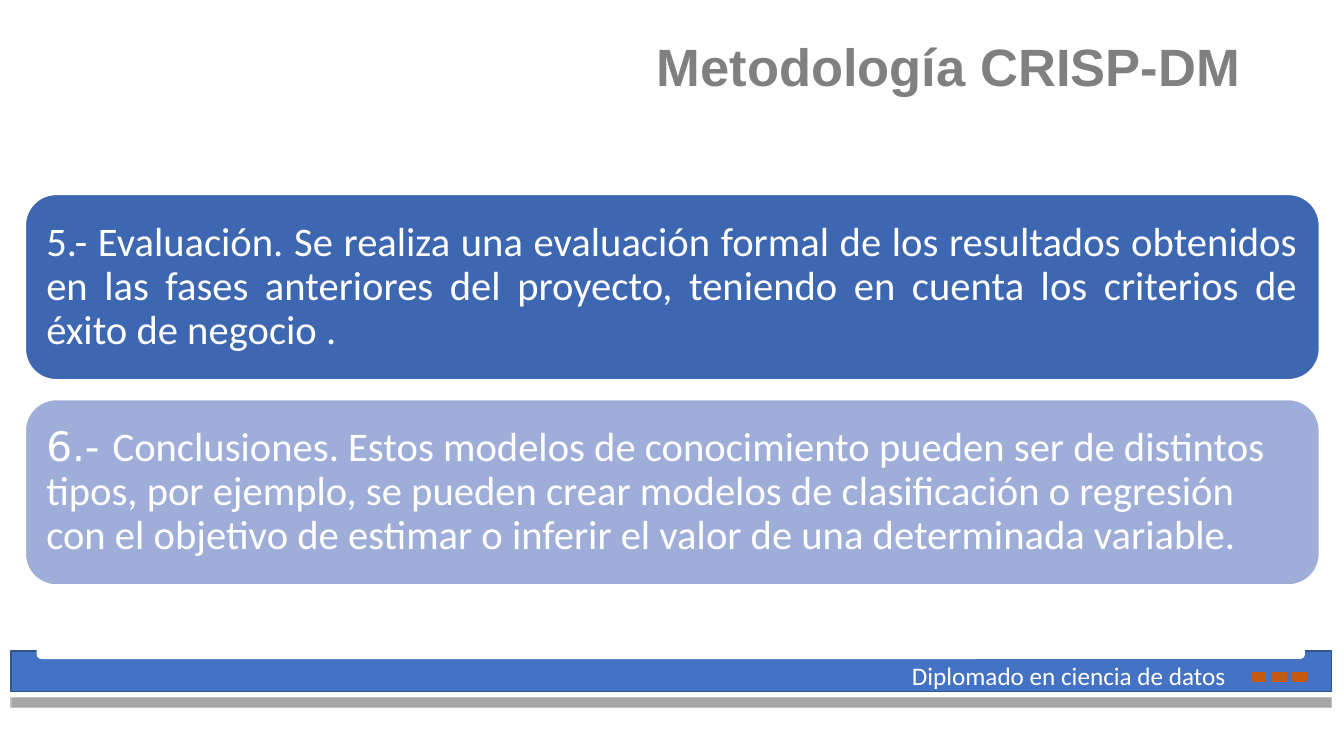
from pptx import Presentation
from pptx.dml.color import RGBColor
from pptx.enum.shapes import MSO_SHAPE
from pptx.enum.text import MSO_ANCHOR, PP_ALIGN
from pptx.util import Cm, Pt

RECT, ROUND = MSO_SHAPE.RECTANGLE, MSO_SHAPE.ROUNDED_RECTANGLE
LEFT, RIGHT, JUSTIFY = PP_ALIGN.LEFT, PP_ALIGN.RIGHT, PP_ALIGN.JUSTIFY
TOP, MIDDLE, BOTTOM = MSO_ANCHOR.TOP, MSO_ANCHOR.MIDDLE, MSO_ANCHOR.BOTTOM

WHITE = RGBColor(0xFF, 0xFF, 0xFF)
TITLE_GRAY = RGBColor(0x80, 0x80, 0x80)
BLUE = RGBColor(0x44, 0x72, 0xC4)
BLUE_EDGE = RGBColor(0x32, 0x54, 0x91)
GRAY = RGBColor(0xA6, 0xA6, 0xA6)
GRAY_EDGE = RGBColor(0xBF, 0xBF, 0xBF)
ORANGE = RGBColor(0xC5, 0x5A, 0x11)
DARK_PHASE = RGBColor(0x3E, 0x67, 0xB2)
LIGHT_PHASE = RGBColor(0x9F, 0xAE, 0xD8)

prs = Presentation()
prs.slide_width, prs.slide_height = Cm(33.87), Cm(19.05)
s = prs.slides.add_slide(prs.slide_layouts[6])


def add_box(kind, left, top, width, height, fill, line):
    sp = s.shapes.add_shape(kind, Cm(left), Cm(top), Cm(width), Cm(height))
    sp.shadow.inherit = False
    sp.fill.solid()
    sp.fill.fore_color.rgb = fill
    sp.line.color.rgb = line
    sp.line.width = Pt(1)
    return sp


def write(sp, runs, size, color, align, anchor, spacing=1.0, bold=False):
    tf = sp.text_frame
    tf.word_wrap = True
    tf.vertical_anchor = anchor
    p = tf.paragraphs[0]
    p.alignment = align
    p.line_spacing = spacing
    for text, font in runs:
        r = p.add_run()
        r.text = text
        r.font.color.rgb = color
        for name, value in {"name": font, "size": Pt(size), "bold": bold}.items():
            setattr(r.font, name, value)


title = s.shapes.add_textbox(Cm(3.58), Cm(1.02), Cm(27.94), Cm(1.52))
write(title, [("Metodología CRISP-DM", "Arial")],
      37.5, TITLE_GRAY, RIGHT, BOTTOM, 0.7, True)

add_box(RECT, 0.28, 16.41, 33.27, 1.02, BLUE, BLUE_EDGE)
add_box(ROUND, 0.94, 15.93, 31.93, 0.66, WHITE, WHITE)
add_box(RECT, 0.28, 17.58, 33.27, 0.25, GRAY, GRAY_EDGE)
for i in range(3):
    add_box(RECT, 31.57 + i * 0.51, 16.94, 0.33, 0.23, ORANGE, ORANGE)

footer = s.shapes.add_textbox(Cm(22.73), Cm(16.51), Cm(8.76), Cm(1.02))
write(footer, [("Diplomado en ciencia de datos", "Calibri")], 18, WHITE, LEFT, TOP)

phases = [
    (DARK_PHASE, JUSTIFY, [
        ("5.- Evaluación. Se realiza una evaluación formal de los resultados "
         "obtenidos en las fases anteriores del proyecto, teniendo en cuenta "
         "los criterios de éxito de negocio .", "Calibri")]),
    (LIGHT_PHASE, LEFT, [
        ("6.- ", "DejaVu Sans"),
        ("Conclusiones. Estos modelos de conocimiento pueden ser de distintos "
         "tipos, por ejemplo, se pueden crear modelos de clasificación o "
         "regresión con el objetivo de estimar o inferir el valor de una "
         "determinada variable.", "Calibri")]),
]
for i, (fill, align, runs) in enumerate(phases):
    phase = add_box(ROUND, 0.64, 4.9 + i * 5.17, 32.61, 4.67, fill, WHITE)
    for side in ("left", "top", "right", "bottom"):
        setattr(phase.text_frame, "margin_" + side, Cm(0.3))
    write(phase, runs, 29, WHITE, align, MIDDLE, 0.9)

prs.save("out.pptx")
